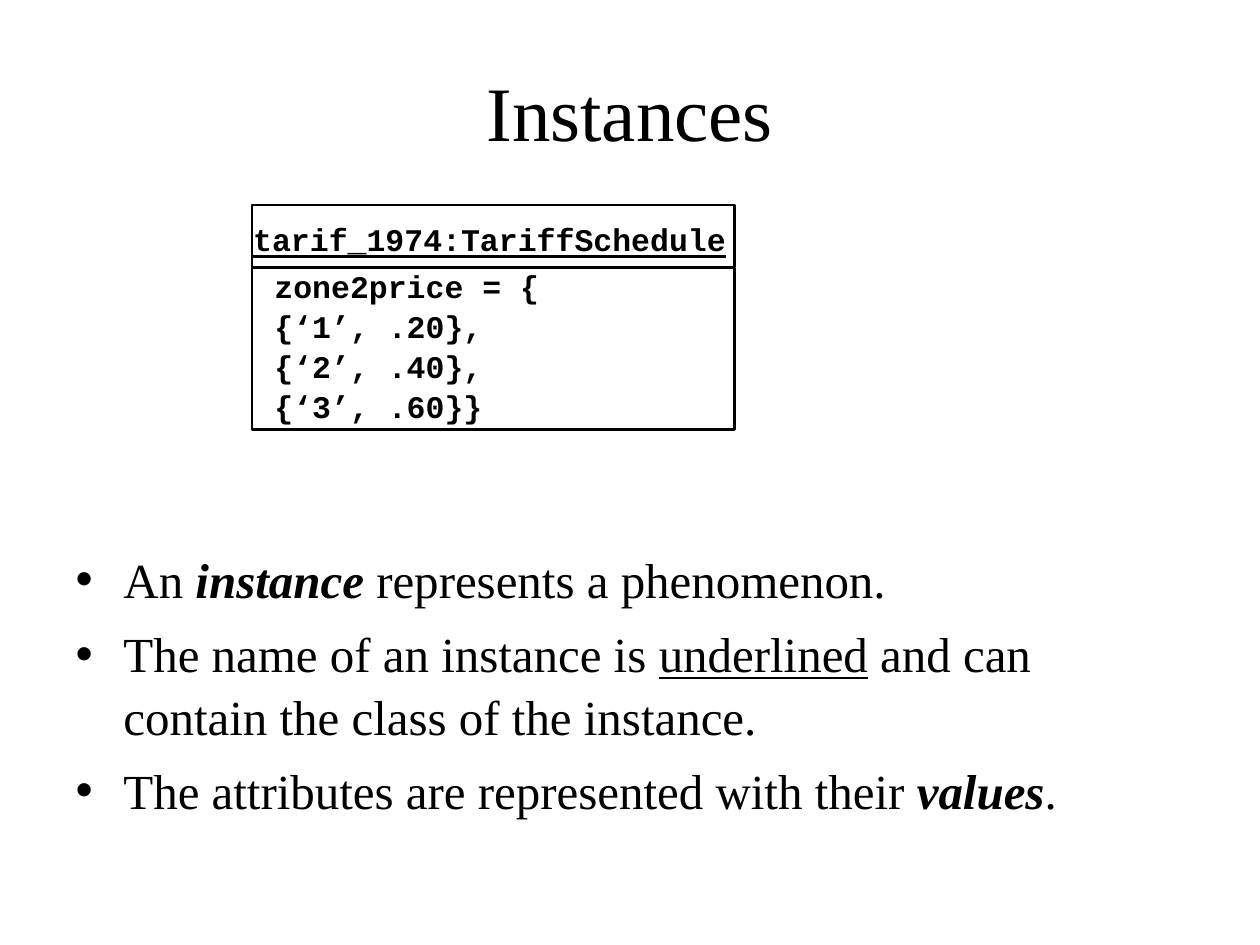
"""Build the slide that explains instances with one object diagram."""
from dataclasses import dataclass

from pptx import Presentation
from pptx import util as u
from pptx.dml.color import RGBColor
from pptx.enum import shapes, text
from pptx.oxml import parse_xml
from pptx.oxml.ns import nsdecls

TITLE = "Instances"
INSTANCE = "tarif_1974:TariffSchedule"
ATTRIBUTES = ["zone2price = {", "{‘1’, .20},\v{‘2’, .40},", "{‘3’, .60}}"]
STRONG, LINED = {"bold": True, "italic": True}, {"underline": True}
POINTS = [
    [("An ", {}), ("instance", STRONG), (" represents a phenomenon.", {})],
    [("The name of an instance is ", {}), ("underlined", LINED),
     (" and can contain the class of the instance.", {})],
    [("The attributes are represented with their ", {}), ("values", STRONG), (".", {})],
]


@dataclass(frozen=True)
class Theme:
    """Colours, fonts and sizes of the slide."""
    ink: RGBColor = RGBColor(0, 0, 0)
    paper: RGBColor = RGBColor(255, 255, 255)
    serif: str = "Times New Roman"
    mono: str = "Courier New"
    title: int = 44
    body: int = 28
    code: int = 18
    line: float = 1.25
    leading: float = 1.06
    gap: int = 7


THEME = Theme()
CELL = u.Inches(0.25)
COLUMNS, ROWS = 40, 30
LEFT, WIDTH = 8, 15.32
HEAD_TOP, HEAD_HEIGHT, LIST_HEIGHT = 6.52, 1.96, 5.12
LIST_TOP = HEAD_TOP + HEAD_HEIGHT + 0.04
GRID = {
    "title": (3, 1, COLUMNS - 6, 5),
    "body": (2, 17.12, COLUMNS - 4, 9.52),
    "attributes": (LEFT + 0.32, LIST_TOP - 0.32, 15.2, 5.2),
    "head": (LEFT, HEAD_TOP, WIDTH, HEAD_HEIGHT),
    "name": (LEFT + 0.04, HEAD_TOP + 0.4, 15, 1.2),
    "list": (LEFT, LIST_TOP, WIDTH, LIST_HEIGHT),
}


def area(name):
    return [int(CELL * length) for length in GRID[name]]


def apply(target, values):
    for key, value in values.items():
        setattr(target, key, value)


def move(shape, name):
    apply(shape, dict(zip(("left", "top", "width", "height"), area(name))))


def write(para, spans, face, size, **extra):
    for words, style in spans:
        for index, part in enumerate(words.split("\v")):
            if index:
                para.add_line_break()
            span = para.add_run()
            span.text = part
            apply(span.font, {"name": face, "size": u.Pt(size), **extra, **style})
            span.font.color.rgb = THEME.ink


def fill_frame(frame, paragraphs, face, size, leading=THEME.leading, align=None, **extra):
    for index, spans in enumerate(paragraphs):
        para = frame.add_paragraph() if index else frame.paragraphs[0]
        apply(para, {"alignment": align, "line_spacing": leading,
                     "space_before": u.Pt(0)})
        write(para, spans, face, size, **extra)


def add_box(parent, name, filled=False):
    box = parent.add_shape(shapes.MSO_SHAPE.RECTANGLE, *area(name))
    box.shadow.inherit = False
    if filled:
        box.fill.solid()
        box.fill.fore_color.rgb = THEME.paper
        box.line.fill.background()
    else:
        box.fill.background()
        box.line.color.rgb = THEME.ink
        box.line.width = u.Pt(THEME.line)
    return box


def add_bullets(frame):
    indent = u.Inches(0.38)
    for index, para in enumerate(frame.paragraphs):
        para.space_before = u.Pt(THEME.gap if index else 0)
        properties = para._p.get_or_add_pPr()
        properties.set("marL", str(indent))
        properties.set("indent", str(-indent))
        properties.append(parse_xml(
            f'<a:buClr {nsdecls("a")}><a:srgbClr val="{THEME.ink}"/></a:buClr>'))
        properties.append(parse_xml(f'<a:buChar {nsdecls("a")} char="•"/>'))


def main():
    deck = Presentation()
    apply(deck, {"slide_width": CELL * COLUMNS, "slide_height": CELL * ROWS})
    page = deck.slides.add_slide(deck.slide_layouts[1])
    title, body = page.placeholders
    center = text.PP_ALIGN.CENTER
    fixed = text.MSO_AUTO_SIZE.NONE

    move(title, "title")
    apply(title.text_frame, {"vertical_anchor": text.MSO_ANCHOR.MIDDLE, "auto_size": fixed})
    fill_frame(title.text_frame, [[(TITLE, {})]], THEME.serif, THEME.title, 1.0, center)

    move(body, "body")
    apply(body.text_frame, {"vertical_anchor": text.MSO_ANCHOR.TOP, "auto_size": fixed})
    fill_frame(body.text_frame, POINTS, THEME.serif, THEME.body)
    add_bullets(body.text_frame)

    attributes = page.shapes.add_textbox(*area("attributes")).text_frame
    attributes.word_wrap = True
    fill_frame(attributes, [[(line, {})] for line in ATTRIBUTES],
               THEME.mono, THEME.code, bold=True)

    header = page.shapes.add_group_shape().shapes
    add_box(header, "head")
    name = add_box(header, "name", filled=True).text_frame
    sides = ("left", "top", "right", "bottom")
    apply(name, {f"margin_{side}": 0 for side in sides})
    apply(name, {"word_wrap": False, "vertical_anchor": text.MSO_ANCHOR.TOP})
    fill_frame(name, [[(INSTANCE, LINED)]], THEME.mono, THEME.code, align=center, bold=True)
    add_box(page.shapes, "list")

    deck.save("out.pptx")


if __name__ == "__main__":
    main()
